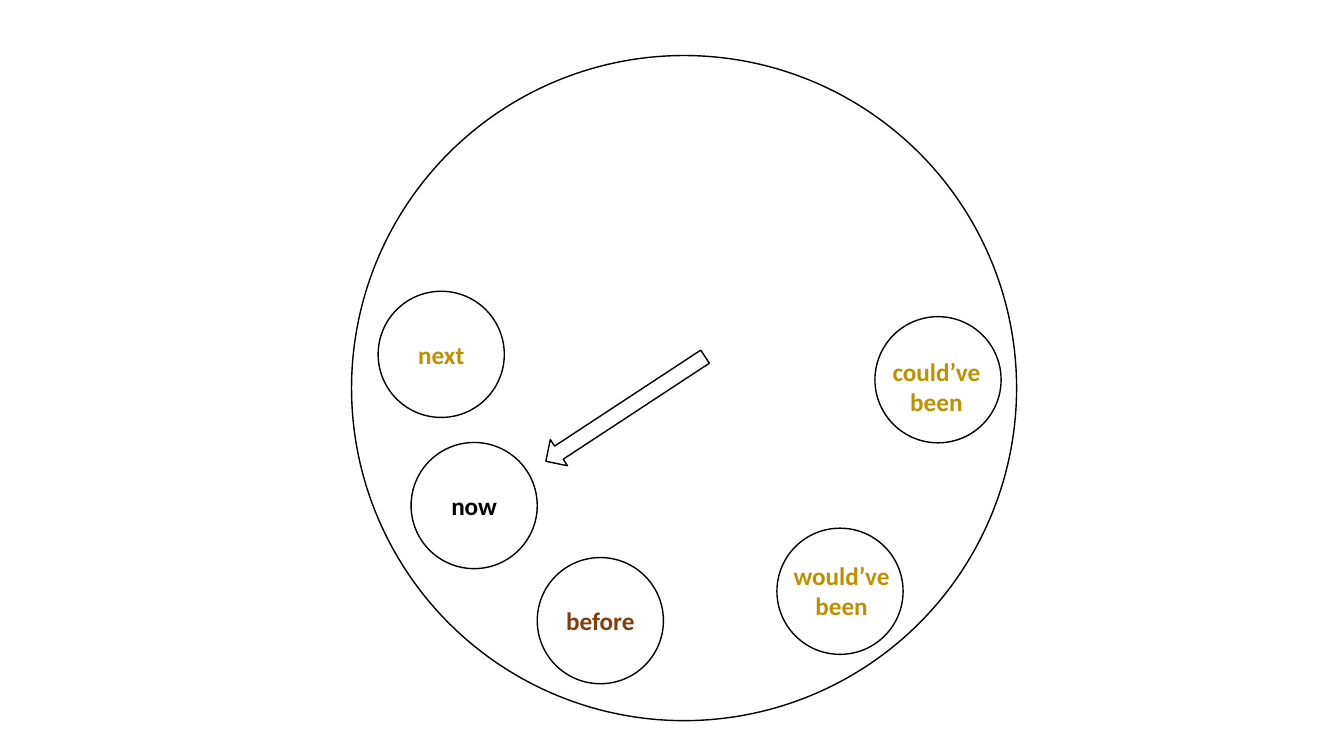
from dataclasses import dataclass

from pptx import Presentation
from pptx.dml.color import RGBColor
from pptx.enum.shapes import MSO_SHAPE
from pptx.enum.text import MSO_AUTO_SIZE, PP_ALIGN
from pptx.util import Cm, Pt


@dataclass(frozen=True)
class Theme:
    """Colours, font and sizes of the slide."""
    black: RGBColor = RGBColor(0x00, 0x00, 0x00)
    gold: RGBColor = RGBColor(0xBF, 0x90, 0x00)
    brown: RGBColor = RGBColor(0x84, 0x3C, 0x0B)
    font: str = "Calibri"
    label_size: Pt = Pt(18)
    line_width: Pt = Pt(1)


theme = Theme()
presentation = Presentation()
presentation.slide_width = Cm(33.87)
presentation.slide_height = Cm(19.05)
slide = presentation.slides.add_slide(presentation.slide_layouts[6])


def add_outline(kind, left, top, width, height):
    """Add an unfilled shape with a thin black line, measured in cm."""
    shape = slide.shapes.add_shape(kind, Cm(left), Cm(top), Cm(width), Cm(height))
    shape.shadow.inherit = False
    shape.fill.background()
    shape.line.color.rgb = theme.black
    shape.line.width = theme.line_width
    return shape


def add_label(text, center_x, center_y, width, height, color):
    """Add a bold label centred on a point, measured in cm."""
    box = slide.shapes.add_textbox(
        Cm(center_x - width / 2), Cm(center_y - height / 2), Cm(width), Cm(height))
    frame = box.text_frame
    frame.word_wrap = True
    frame.auto_size = MSO_AUTO_SIZE.SHAPE_TO_FIT_TEXT
    paragraph = frame.paragraphs[0]
    paragraph.text = text
    paragraph.alignment = PP_ALIGN.CENTER
    paragraph.font.name = theme.font
    paragraph.font.size = theme.label_size
    paragraph.font.bold = True
    paragraph.font.color.rgb = color


add_outline(MSO_SHAPE.OVAL, 8.86, 1.4, 16.76, 16.76)

# Text, circle left and top, label shift right and down, label width and height, colour
moment_diameter = 3.18
one_line, two_lines = 1.02, 1.8
moments = [
    ("before", 13.54, 14.05, 0, 0, 2.41, one_line, theme.brown),
    ("next", 9.53, 7.34, 0, 0, 2.57, one_line, theme.gold),
    ("now", 10.36, 11.15, 0, 0, 2.41, one_line, theme.black),
    ("would’ve been", 19.58, 13.31, 0.04, 0, 3.25, two_lines, theme.gold),
    ("could’ve been", 22.05, 7.98, -0.04, 0.18, 3.25, two_lines, theme.gold),
]
for text, left, top, shift_x, shift_y, width, height, color in moments:
    add_outline(MSO_SHAPE.OVAL, left, top, moment_diameter, moment_diameter)
    radius = moment_diameter / 2
    add_label(text, left + radius + shift_x, top + radius + shift_y, width, height, color)

now_arrow = add_outline(MSO_SHAPE.RIGHT_ARROW, 13.36, 9.91, 4.8, 0.79)
now_arrow.rotation = 146.7

presentation.save("out.pptx")
